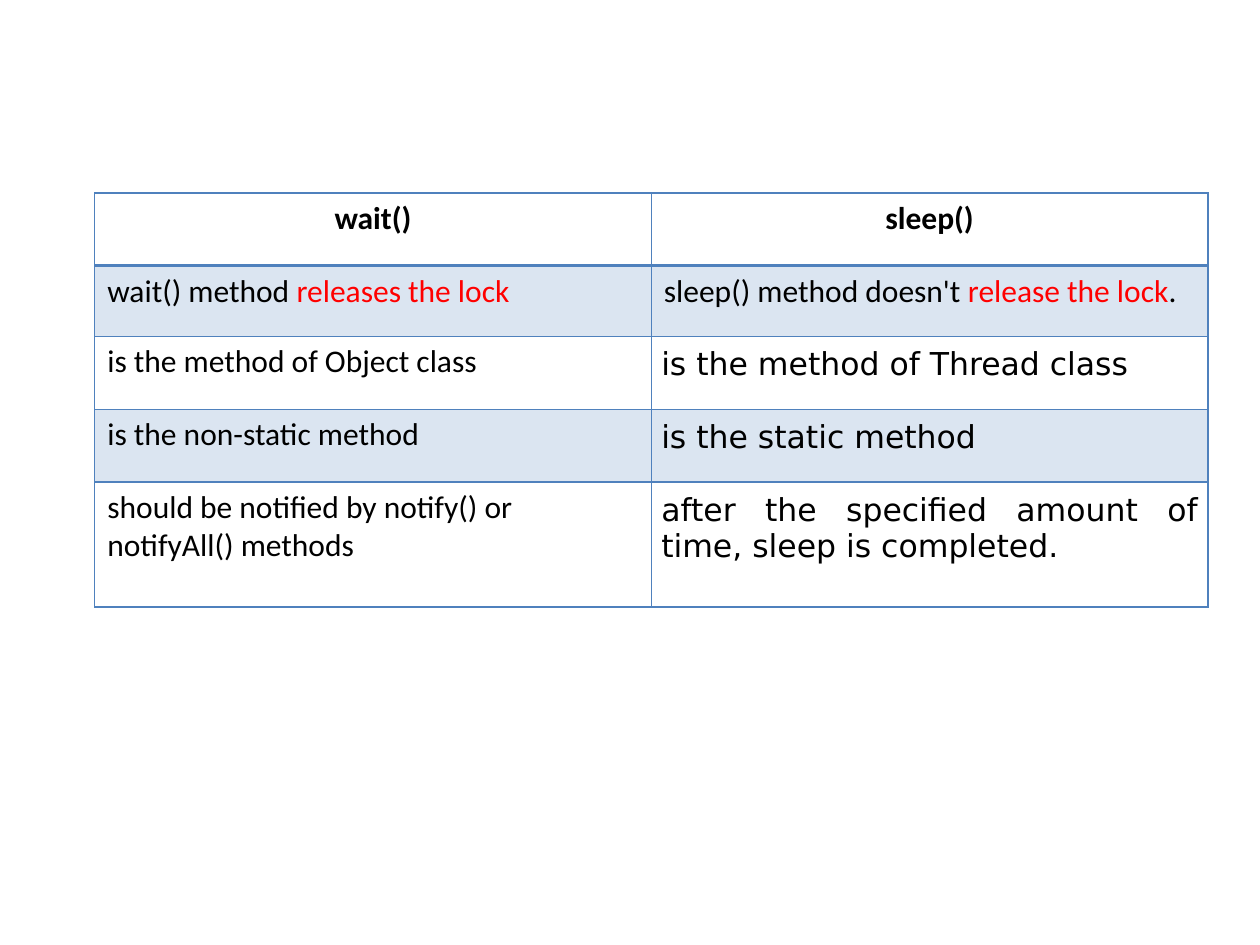
from pptx import Presentation
from pptx.dml.color import RGBColor
from pptx.enum.text import PP_ALIGN
from pptx.oxml.ns import qn
from pptx.util import Cm, Pt
from lxml.etree import SubElement

BLACK = RGBColor(0x00, 0x00, 0x00)
RED = RGBColor(0xFF, 0x00, 0x00)
BLUE = RGBColor(0x4F, 0x81, 0xBD)

ROWS = [
    ([("wait()", BLACK)], [("sleep()", BLACK)]),
    ([("wait() method ", BLACK), ("releases the lock", RED)],
     [("sleep() method doesn't ", BLACK), ("release the lock", RED), (".", BLACK)]),
    ([("is the method of Object class", BLACK)],
     [("is the method of Thread class", BLACK)]),
    ([("is the non-static method", BLACK)],
     [("is the static method", BLACK)]),
    ([("should be notified by notify() or notifyAll() methods", BLACK)],
     [("after the specified amount of time, sleep is completed.", BLACK)]),
]
HEIGHTS = [1.47, 1.42, 1.47, 1.47, 2.52]
COL_WIDTH = 11.22
LEFT, TOP = 1.91, 3.89

HEADER = {"name": "Calibri", "size": Pt(18), "bold": True}
BODY = {"name": "Calibri", "size": Pt(18), "bold": False}
WIDE = {"name": "DejaVu Sans", "size": Pt(18), "bold": False}
INSETS = {f"margin_{side}": Cm(0.2) for side in ("left", "top", "right", "bottom")}


def set_format(target, values):
    for name, value in values.items():
        setattr(target, name, value)


def add_borders(cell, widths):
    tcPr = cell._tc.get_or_add_tcPr()
    for side, width in widths.items():
        ln = SubElement(tcPr, qn(f"a:ln{side}"), w=str(Pt(width)))
        SubElement(SubElement(ln, qn("a:solidFill")), qn("a:srgbClr"), val=str(BLUE))


def fill_cell(cell, banded):
    if not banded:
        cell.fill.background()
        return
    cell.fill.solid()
    cell.fill.fore_color.rgb = BLUE
    color = cell._tc.tcPr.find(qn("a:solidFill")).find(qn("a:srgbClr"))
    SubElement(color, qn("a:alpha"), val="20000")


def write_runs(p, runs, values):
    for text, color in runs:
        r = p.add_run()
        r.text = text
        set_format(r.font, values)
        r.font.color.rgb = color


prs = Presentation()
prs.slide_width, prs.slide_height = Cm(25.4), Cm(19.05)
s = prs.slides.add_slide(prs.slide_layouts[6])

table = s.shapes.add_table(len(ROWS), 2, Cm(LEFT), Cm(TOP),
                           Cm(2 * COL_WIDTH), Cm(sum(HEIGHTS))).table
set_format(table, {"first_row": False, "horz_banding": False})
for column in table.columns:
    column.width = Cm(COL_WIDTH)

for i, (row, height) in enumerate(zip(ROWS, HEIGHTS)):
    table.rows[i].height = Cm(height)
    for j, runs in enumerate(row):
        cell = table.cell(i, j)
        add_borders(cell, {"L": 1, "R": 1, "T": 2 if i == 1 else 1, "B": 2 if i == 0 else 1})
        fill_cell(cell, i % 2 == 1)
        p = cell.text_frame.paragraphs[0]
        if i == 0:
            p.alignment = PP_ALIGN.CENTER
            write_runs(p, runs, HEADER)
        elif i > 1 and j == 1:
            set_format(cell, INSETS)
            p.alignment = PP_ALIGN.JUSTIFY
            write_runs(p, runs, WIDE)
        else:
            write_runs(p, runs, BODY)

prs.save("out.pptx")
